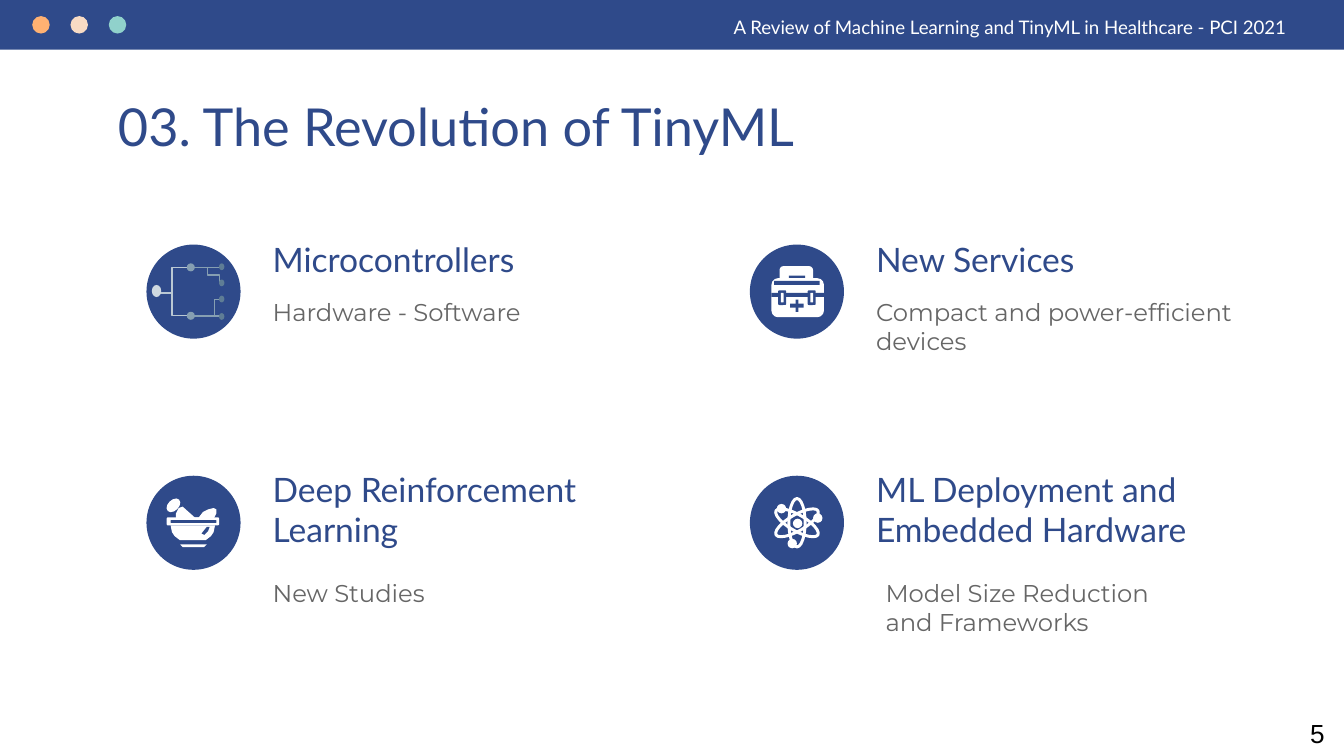
from lxml.etree import SubElement
from pptx import Presentation
from pptx.dml.color import RGBColor
from pptx.enum.shapes import MSO_CONNECTOR, MSO_SHAPE
from pptx.enum.text import MSO_ANCHOR
from pptx.oxml.ns import qn
from pptx.util import Inches, Pt

COLORS = {
    "navy": "2F4A8A", "white": "FFFFFF", "grey": "666666", "black": "000000",
    "orange": "FFB172", "cream": "F8DBC4", "mint": "90D1CB",
    "root": "CFD9E0", "stem": "BAC8D3", "branch": "869FB2", "leaf": "5F7D95",
}

# Formats: font attributes, colour, top and bottom inset
FORMATS = {
    "title": ({"name": "Lato", "size": Pt(28)}, "navy", 0.1),
    "heading": ({"name": "Lato", "size": Pt(18)}, "navy", 0.1),
    "detail": ({"name": "Montserrat", "size": Pt(13)}, "grey", 0.1),
    "header": ({"name": "Lato", "size": Pt(10)}, "white", 0.05),
    "number": ({"name": "Arial", "size": Pt(14)}, "black", 0.05),
}

PAGE_TEXTS = [
    ("A Review of Machine Learning and TinyML in Healthcare - PCI 2021",
     "header", (5.36, 0.07, 4.46, 0.27)),
    ("03. The Revolution of TinyML", "title", (0.78, 0.6, 8.44, 0.51)),
    ("5", "number", (9.65, 5.29, 0.35, 0.34)),
]
HEADER_DOTS = ["orange", "cream", "mint"]

# Topics row by row: heading, detail, detail indent, detail width, icon
TOPICS = [
    [("Microcontrollers", "Hardware - Software", 0, 2.49, "circuit"),
     ("New Services", "Compact and power-efficient devices", 0, 2.95, "kit")],
    [("Deep Reinforcement Learning", "New Studies", 0, 2.49, "mortar"),
     ("ML Deployment and Embedded Hardware",
      "Model Size Reduction and Frameworks", 0.07, 2.49, "atom")],
]
COLUMN_LEFTS = [1.09, 5.58]
ROWS = [  # top of circle, heading and detail, height of detail
    (1.82, 1.68, 2.11, 0.83),
    (3.54, 3.39, 4.2, 0.76),
]
DISC, TEXT_OFFSET = 0.7, 0.84

# Icon parts, measured from the top left corner of their circle
OVAL, BAR, ROUND = MSO_SHAPE.OVAL, MSO_SHAPE.RECTANGLE, MSO_SHAPE.ROUNDED_RECTANGLE
ICON_SHAPES = {  # preset, box, colour, rotation
    "circuit": [
        (OVAL, (0.04, 0.3, 0.07, 0.09), "root", 0),
        *[(OVAL, (0.3, y, 0.06, 0.06), "branch", 0) for y in (0.14, 0.5)],
        *[(OVAL, (0.54, y, 0.04, 0.05), "leaf", 0) for y in (0.14, 0.26, 0.38, 0.51)],
    ],
    "kit": [
        (ROUND, (0.22, 0.16, 0.25, 0.18), "white", 0),
        (BAR, (0.29, 0.23, 0.12, 0.02), "navy", 0),
        (ROUND, (0.16, 0.25, 0.39, 0.29), "white", 0),
        (BAR, (0.18, 0.27, 0.34, 0.03), "navy", 0),
        (BAR, (0.16, 0.36, 0.39, 0.03), "navy", 0),
        *[(ROUND, (x, 0.34, 0.06, 0.11), "navy", 0) for x in (0.21, 0.43)],
        *[(ROUND, (x, 0.36, 0.02, 0.07), "white", 0) for x in (0.23, 0.45)],
        (BAR, (0.3, 0.44, 0.1, 0.03), "navy", 0),
        (BAR, (0.34, 0.41, 0.02, 0.09), "navy", 0),
    ],
    "mortar": [
        (OVAL, (0.16, 0.16, 0.08, 0.12), "white", 45),
        (ROUND, (0.15, 0.31, 0.39, 0.06), "white", 0),
        (ROUND, (0.18, 0.33, 0.34, 0.02), "navy", 0),
    ],
    "atom": [
        (OVAL, (0.32, 0.32, 0.07, 0.07), "white", 0),
        *[(OVAL, (x, y, 0.07, 0.07), "white", 0)
          for x, y in ((0.2, 0.21), (0.47, 0.28), (0.28, 0.47))],
    ],
}
ORBIT_BOX, ORBIT_TURNS = (0.29, 0.17, 0.12, 0.36), (0, 60, 120)
MORTAR_OUTLINES = [
    ("white", [(0.22, 0.32), (0.22, 0.28), (0.24, 0.24), (0.27, 0.23), (0.36, 0.31),
               (0.39, 0.31), (0.42, 0.27), (0.46, 0.25), (0.5, 0.24), (0.52, 0.25),
               (0.52, 0.28), (0.5, 0.32)]),
    ("white", [(0.18, 0.37), (0.51, 0.37), (0.5, 0.42), (0.48, 0.45), (0.44, 0.48),
               (0.25, 0.48), (0.21, 0.45), (0.19, 0.42)]),
    ("navy", [(0.45, 0.38), (0.47, 0.38), (0.46, 0.41), (0.43, 0.44), (0.41, 0.43)]),
    ("white", [(0.25, 0.51), (0.45, 0.51), (0.43, 0.53), (0.27, 0.53)]),
]
CIRCUIT_WIRES = [  # begin, end, colour, rotation
    ((0.45, 0.53), (0.56, 0.41), "branch", 0),
    ((0.56, 0.18), (0.44, 0.27), "branch", 270),
    ((0.35, 0.17), (0.54, 0.17), "branch", 0),
    ((0.35, 0.53), (0.55, 0.53), "branch", 0),
    ((0.07, 0.36), (0.31, 0.17), "stem", 0),
    ((0.07, 0.36), (0.31, 0.53), "stem", 0),
]


def rgb(color):
    return RGBColor.from_string(COLORS[color])


def paint(shape, color):
    shape.shadow.inherit = False
    shape.fill.solid()
    shape.fill.fore_color.rgb = rgb(color)
    shape.line.fill.background()


def add_preset(slide, preset, box, color, rotation=0):
    shape = slide.shapes.add_shape(preset, *map(Inches, box))
    paint(shape, color)
    shape.rotation = rotation
    return shape


def add_text(slide, wording, style, box):
    font_values, color, inset = FORMATS[style]
    frame = slide.shapes.add_textbox(*map(Inches, box)).text_frame
    frame_values = {
        "word_wrap": True, "vertical_anchor": MSO_ANCHOR.TOP,
        "margin_left": Inches(0.1), "margin_right": Inches(0.1),
        "margin_top": Inches(inset), "margin_bottom": Inches(inset),
    }
    for name, value in frame_values.items():
        setattr(frame, name, value)
    run = frame.paragraphs[0].add_run()
    run.text = wording
    for name, value in font_values.items():
        setattr(run.font, name, value)
    run.font.color.rgb = rgb(color)


def add_wire(slide, begin, end, color, rotation):
    kind = MSO_CONNECTOR.STRAIGHT if begin[1] == end[1] else MSO_CONNECTOR.ELBOW
    wire = slide.shapes.add_connector(kind, *map(Inches, (*begin, *end)))
    wire.line.color.rgb = rgb(color)
    wire.line.width = Pt(0.75)
    properties = wire._element.spPr
    properties.find(qn("a:xfrm")).set("rot", str(rotation * 60000))
    SubElement(properties, qn("a:effectLst"))


def add_icon(slide, icon, left, top):
    def shift(point):
        return left + point[0], top + point[1]

    if icon == "circuit":
        for begin, end, color, rotation in CIRCUIT_WIRES:
            add_wire(slide, shift(begin), shift(end), color, rotation)
    for preset, box, color, rotation in ICON_SHAPES[icon]:
        add_preset(slide, preset, (*shift(box), *box[2:]), color, rotation)
    if icon == "mortar":
        for color, points in MORTAR_OUTLINES:
            start, *rest = [tuple(map(Inches, shift(point))) for point in points]
            builder = slide.shapes.build_freeform(*start)
            builder.add_line_segments(rest, close=True)
            paint(builder.convert_to_shape(), color)
    if icon == "atom":
        for turn in ORBIT_TURNS:
            orbit = add_preset(slide, OVAL, (*shift(ORBIT_BOX), *ORBIT_BOX[2:]), "white", turn)
            orbit.fill.background()
            orbit.line.color.rgb = rgb("white")
            orbit.line.width = Pt(1.6)


def main():
    deck = Presentation()
    deck.slide_width = Inches(10)
    deck.slide_height = deck.slide_width * 9 // 16
    slide = deck.slides.add_slide(deck.slide_layouts[6])

    add_preset(slide, BAR, (0, 0, 10, 0.37), "navy")
    for index, color in enumerate(HEADER_DOTS):
        add_preset(slide, OVAL, (0.24 + index * 0.285, 0.12, 0.13, 0.13), color)
    for wording, style, box in PAGE_TEXTS:
        add_text(slide, wording, style, box)

    for (disc_top, heading_top, detail_top, detail_height), topics in zip(ROWS, TOPICS):
        for left, (heading, detail, indent, width, icon) in zip(COLUMN_LEFTS, topics):
            text_left = left + TEXT_OFFSET
            add_preset(slide, OVAL, (left, disc_top, DISC, DISC), "navy")
            add_icon(slide, icon, left, disc_top)
            add_text(slide, heading, "heading", (text_left, heading_top, 2.62, 0.51))
            add_text(slide, detail, "detail",
                     (text_left + indent, detail_top, width, detail_height))

    deck.save("out.pptx")


if __name__ == "__main__":
    main()
